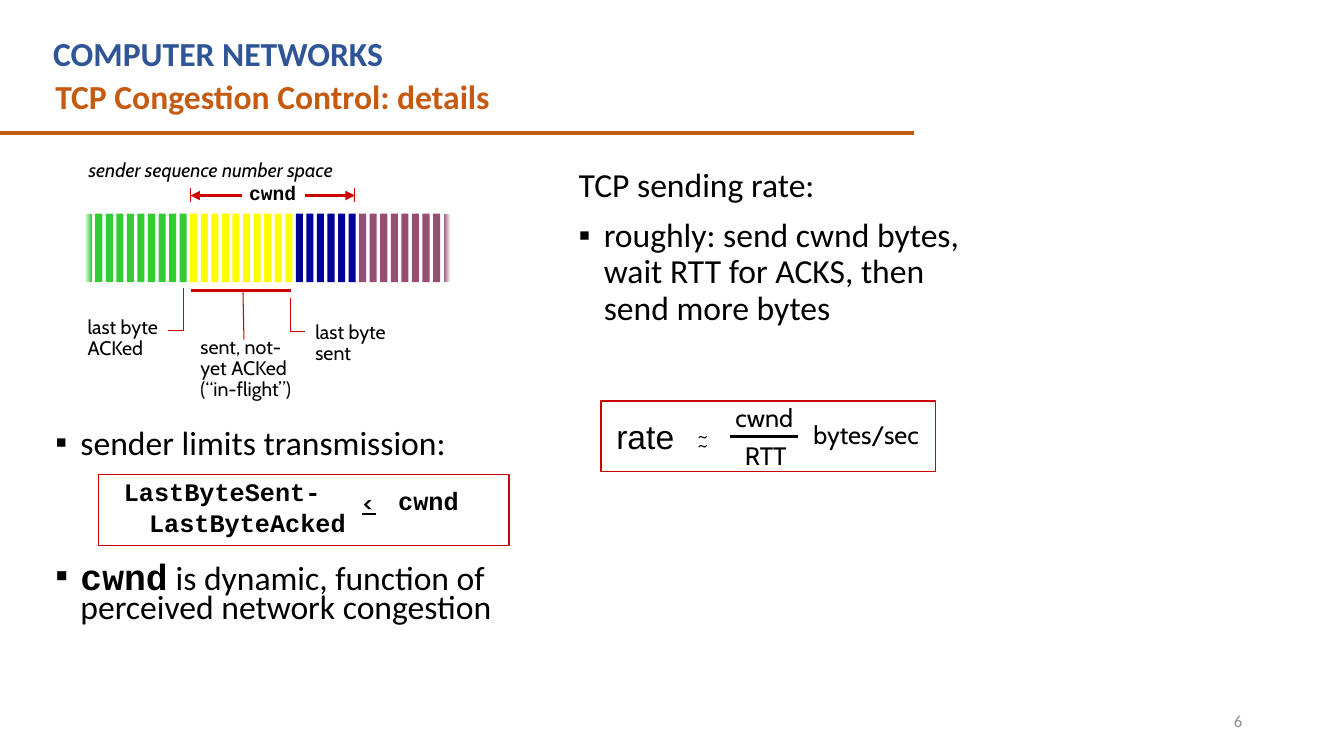
from lxml import etree
from pptx import Presentation
from pptx.dml.color import RGBColor
from pptx.enum.shapes import MSO_CONNECTOR, MSO_SHAPE
from pptx.enum.text import MSO_ANCHOR, MSO_AUTO_SIZE, PP_ALIGN
from pptx.oxml.ns import qn
from pptx.util import Inches, Pt

STRAIGHT, RECTANGLE = MSO_CONNECTOR.STRAIGHT, MSO_SHAPE.RECTANGLE
LEFT, CENTER, RIGHT = PP_ALIGN.LEFT, PP_ALIGN.CENTER, PP_ALIGN.RIGHT
TOP, MIDDLE = MSO_ANCHOR.TOP, MSO_ANCHOR.MIDDLE
FIT = MSO_AUTO_SIZE.SHAPE_TO_FIT_TEXT

BODY, LABEL, CODE, SANS = "Calibri", "Cabin", "Courier New", "Arial"
BLACK, WHITE, RED, ORANGE = "000000", "FFFFFF", "CC0000", "C55A11"
GREEN, YELLOW, BLUE, PURPLE = "33CC33", "FFFF00", "000099", "954F72"


def rgb(color):
    return RGBColor.from_string(color)


class SlideBuilder:
    def __init__(self, slide):
        self.shapes = slide.shapes

    def style(self, font, size, name, color=BLACK, bold=False, italic=False):
        font.size, font.name = Pt(size), name
        font.bold, font.italic = bold, italic
        font.color.rgb = rgb(color)

    def box(self, left, top, width, height, wrap=True, anchor=TOP):
        frame = self.shapes.add_textbox(
            Inches(left), Inches(top), Inches(width), Inches(height)).text_frame
        frame.word_wrap, frame.vertical_anchor = wrap, anchor
        return frame

    def text(self, place, lines, size, name, align=LEFT, spacing=1.0,
             anchor=TOP, **look):
        """A text box with one look; centred labels do not wrap."""
        frame = self.box(*place, wrap=align != CENTER, anchor=anchor)
        if anchor == TOP:
            frame.auto_size = FIT
        for i, line in enumerate(lines):
            paragraph = frame.paragraphs[0] if i == 0 else frame.add_paragraph()
            paragraph.text = line
            paragraph.alignment, paragraph.line_spacing = align, spacing
            self.style(paragraph.font, size, name, **look)
        return frame

    def bullet(self, paragraph, spacing, before=0):
        props = paragraph._p.get_or_add_pPr()
        props.set("marL", str(Inches(0.25)))
        props.set("indent", str(Inches(-0.25)))
        etree.SubElement(props, qn("a:buFont")).set("typeface", SANS)
        etree.SubElement(props, qn("a:buChar")).set("char", "▪")
        paragraph.line_spacing = spacing
        paragraph.space_before = Pt(before)

    def line(self, start, end, color, width, arrow=False):
        connector = self.shapes.add_connector(
            STRAIGHT, *(Inches(v) for v in (*start, *end)))
        connector.line.color.rgb = rgb(color)
        connector.line.width = Pt(width)
        if arrow:
            ln = connector.line._get_or_add_ln()
            etree.SubElement(ln, qn("a:tailEnd")).set("type", "triangle")
        etree.SubElement(connector._element.spPr, qn("a:effectLst"))

    def rectangle(self, left, top, width, height):
        shape = self.shapes.add_shape(
            RECTANGLE, Inches(left), Inches(top), Inches(width), Inches(height))
        shape.shadow.inherit = False
        return shape

    def frame(self, *place):
        shape = self.rectangle(*place)
        shape.fill.background()
        shape.line.color.rgb = rgb(RED)
        shape.line.width = Pt(1)

    def stripe(self, left, colors):
        """A byte bar; two colours give a left-to-right fade."""
        shape = self.rectangle(left, 2.12, 0.07, 0.68)
        shape.line.fill.background()
        if len(colors) == 1:
            shape.fill.solid()
            shape.fill.fore_color.rgb = rgb(colors[0])
            return
        shape.fill.gradient()
        shape.fill.gradient_angle = 0
        for stop, color, position in zip(shape.fill.gradient_stops, colors, (0, 1)):
            stop.color.rgb = rgb(color)
            stop.position = position

    def elbow(self, *points):
        corners = [(Inches(x), Inches(y)) for x, y in points]
        builder = self.shapes.build_freeform(*corners[0])
        builder.add_line_segments(corners[1:], close=False)
        shape = builder.convert_to_shape()
        shape.shadow.inherit = False
        shape.fill.background()
        shape.line.color.rgb = rgb(RED)
        shape.line.width = Pt(1)


def main():
    deck = Presentation()
    deck.slide_width, deck.slide_height = Inches(13.33), Inches(7.5)
    page = SlideBuilder(deck.slides.add_slide(deck.slide_layouts[6]))

    # Heading
    page.text((0.43, 0.28, 8.2, 0.5), ["COMPUTER NETWORKS"], 24, BODY,
              color="2F5597", bold=True)
    page.text((0.45, 0.7, 8.75, 0.5), ["TCP Congestion Control: details"], 24, BODY,
              color=ORANGE, bold=True)
    page.line((-0.01, 1.32), (9.07, 1.32), ORANGE, 3)

    # Sequence number space: one stripe per byte
    page.text((0.78, 1.52, 2.98, 0.33), ["sender sequence number space"], 14, LABEL,
              italic=True)
    byte_colors = ([(WHITE, GREEN)] + [(GREEN,)] * 9 + [(YELLOW,)] * 10
                   + [(BLUE,)] * 6 + [(PURPLE,)] * 8 + [(PURPLE, WHITE)])
    pitch = (4.4 - 0.84) / (len(byte_colors) - 1)
    for i, colors in enumerate(byte_colors):
        page.stripe(0.84 + i * pitch, colors)

    # Window extent above the stripes
    page.text((2.37, 1.77, 0.67, 0.31), ["cwnd"], 14, CODE, CENTER, 0.9, bold=True)
    for inner, edge in ((2.4, 1.89), (3.03, 3.52)):
        page.line((inner, 1.94), (edge, 1.94), RED, 2.25, arrow=True)
        page.line((edge, 1.87), (edge, 2), RED, 0.75)

    # Callouts below the stripes
    page.line((1.89, 2.88), (2.89, 2.88), RED, 2.25)
    page.line((2.41, 2.9), (2.42, 3.37), RED, 0.75)
    page.elbow((1.82, 2.86), (1.82, 3.28), (1.67, 3.28))
    page.elbow((2.88, 2.96), (2.88, 3.29), (3.03, 3.29))
    for place, lines in (
            ((0.77, 3.1, 0.93, 0.52), ["last byte", "ACKed"]),
            ((1.89, 3.3, 1.17, 0.73), ["sent, not-yet ACKed", "(“in-flight”)"]),
            ((3.03, 3.15, 1.17, 0.52), ["last byte sent"])):
        page.text(place, lines, 14, LABEL, spacing=0.9)

    # Sender limits
    limits = page.box(0.45, 4.18, 4.96, 2.08)
    sender = limits.paragraphs[0]
    sender.text = "sender limits transmission:"
    page.bullet(sender, 0.9)
    page.style(sender.font, 24, BODY)
    dynamic = limits.add_paragraph()
    page.bullet(dynamic, 0.7, before=74)
    for words, size, name, bold in (
            ("cwnd", 26, CODE, True),
            (" is dynamic, function of perceived network congestion", 24, BODY, False)):
        run = dynamic.add_run()
        run.text = words
        page.style(run.font, size, name, bold=bold)

    # Window inequality
    page.frame(0.98, 4.71, 4.07, 0.7)
    difference = page.text((1.13, 4.72, 3.08, 0.67), ["LastByteSent-", "LastByteAcked"],
                           18, CODE, spacing=0.85, bold=True)
    acked = difference.paragraphs[1]
    acked.space_before = Pt(3.6)
    acked._p.get_or_add_pPr().set("marL", str(Inches(0.25)))
    page.text((3.46, 4.8, 0.38, 0.37), ["<"], 16, LABEL, CENTER, bold=True)
    page.line((3.59, 5.1), (3.73, 5.1), BLACK, 1.5)
    page.text((3.85, 4.77, 0.8, 0.4), ["cwnd"], 18, CODE, CENTER, bold=True)

    # Sending rate
    sending = page.box(5.64, 1.62, 4.17, 2.68)
    heading = sending.paragraphs[0]
    heading.text = "TCP sending rate:"
    heading.line_spacing = 0.9
    page.style(heading.font, 24, BODY)
    roughly = sending.add_paragraph()
    roughly.text = "roughly: send cwnd bytes, wait RTT for ACKS, then send more bytes"
    page.bullet(roughly, 0.9, before=10)
    page.style(roughly.font, 24, BODY)

    # Rate formula
    page.frame(5.96, 3.98, 3.32, 0.7)
    page.text((6.01, 4.08, 0.78, 0.5), ["rate"], 24, SANS, CENTER)
    for place, term in (
            ((6.46, 4.1, 1.02, 0.4), "~"),
            ((6.46, 4.19, 1.02, 0.4), "~"),
            ((7.19, 3.94, 0.78, 0.4), "cwnd"),
            ((7.27, 4.32, 0.65, 0.4), "RTT"),
            ((7.87, 4.11, 1.44, 0.4), "bytes/sec")):
        page.text(place, [term], 18, LABEL, CENTER)
    page.line((7.24, 4.33), (7.91, 4.33), BLACK, 1.5)

    # Page number
    page.text((9.42, 6.95, 3, 0.4), ["6"], 12, BODY, RIGHT, anchor=MIDDLE, color="8C8C8C")

    deck.save("out.pptx")


if __name__ == "__main__":
    main()
